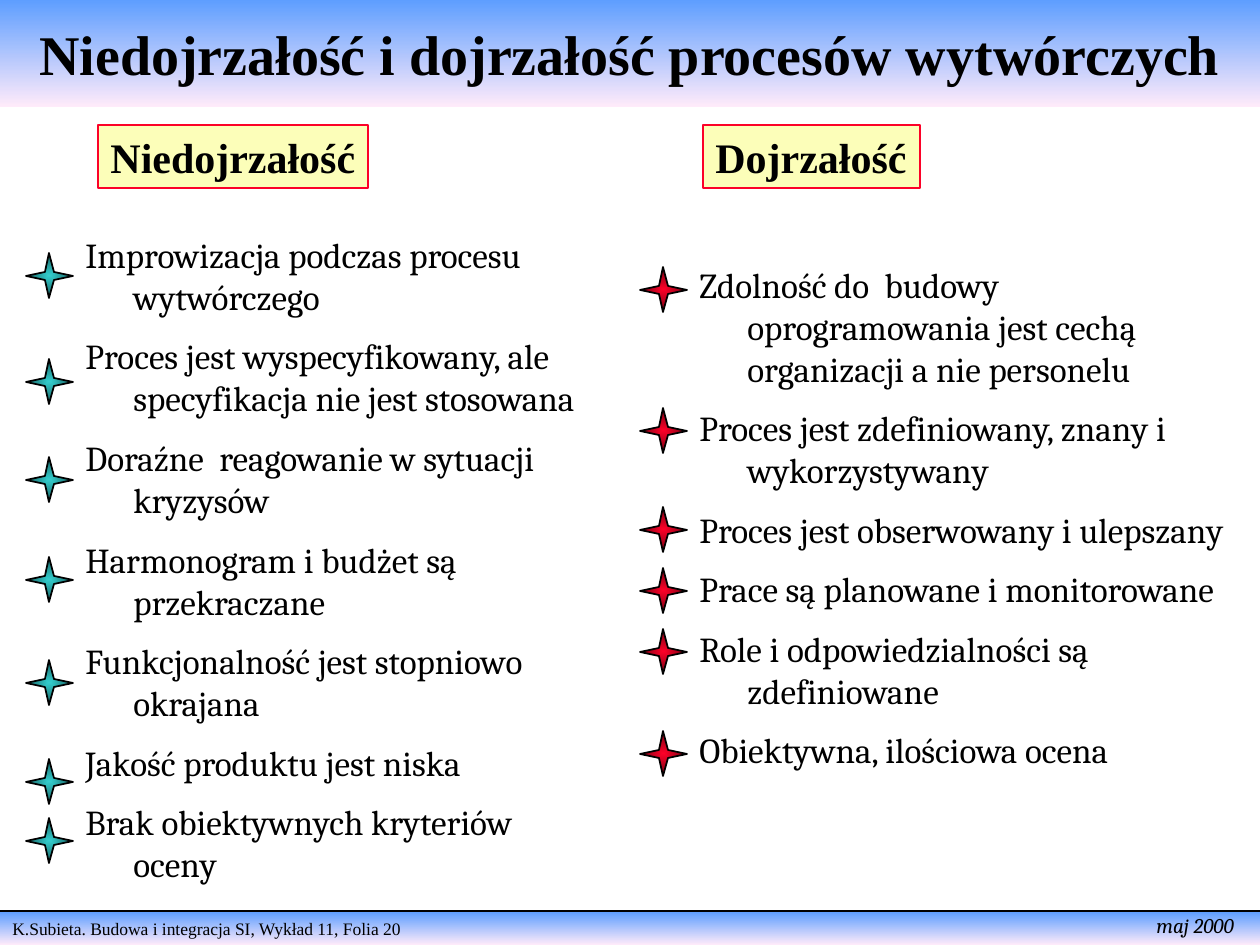
from dataclasses import dataclass

import pptx
import pptx.dml.color
import pptx.enum.shapes
import pptx.enum.text
import pptx.oxml
import pptx.oxml.ns
import pptx.util

RGB = pptx.dml.color.RGBColor.from_string
RECT = pptx.enum.shapes.MSO_SHAPE.RECTANGLE
ALIGN = pptx.enum.text.PP_ALIGN
ANCHOR = pptx.enum.text.MSO_ANCHOR
SIZE = pptx.enum.text.MSO_AUTO_SIZE
SCALE = 914400 / 126
INDENT = 48
STAR = [(0, 23), (19, 19), (23, 0), (28, 19), (47, 23), (28, 27), (23, 45), (19, 27)]


@dataclass(frozen=True)
class Font:
    name: str
    size: int
    bold: bool = False
    italic: bool = False


@dataclass(frozen=True)
class Theme:
    ink: str = "000000"
    sky: str = "5E9EFF"
    blush: str = "FFEBFA"
    cream: str = "FCFEB9"
    red: str = "FC0128"
    wine: str = "740012"
    teal: str = "33CCCC"
    pine: str = "175E5E"
    title: Font = Font("Times New Roman", 32, bold=True)
    head: Font = Font("Times New Roman", 24, bold=True)
    body: Font = Font("Cambria", 20)
    foot: Font = Font("Times New Roman", 10)
    date: Font = Font("Cambria", 12, italic=True)


@dataclass(frozen=True)
class Box:
    x: int
    y: int
    w: int
    h: int


@dataclass(frozen=True)
class Column:
    head: str
    label: Box
    body: Box
    items: list[str]
    left: int
    tops: list[int]
    core: str
    edge: str


THEME = Theme()
COLUMNS = [
    Column(
        "Niedojrzałość", Box(98, 125, 270, 63), Box(73, 217, 542, 684),
        ["Improwizacja podczas procesu wytwórczego",
         "Proces jest wyspecyfikowany, ale specyfikacja nie jest stosowana",
         "Doraźne  reagowanie w sytuacji kryzysów",
         "Harmonogram i budżet są przekraczane",
         "Funkcjonalność jest stopniowo okrajana",
         "Jakość produktu jest niska",
         "Brak obiektywnych kryteriów oceny"],
        26, [253, 359, 457, 557, 660, 759, 818], THEME.teal, THEME.pine,
    ),
    Column(
        "Dojrzałość", Box(703, 125, 217, 63), Box(687, 217, 552, 600),
        ["Zdolność do  budowy oprogramowania jest cechą organizacji a nie personelu",
         "Proces jest zdefiniowany, znany i wykorzystywany",
         "Proces jest obserwowany i ulepszany",
         "Prace są planowane i monitorowane",
         "Role i odpowiedzialności są zdefiniowane",
         "Obiektywna, ilościowa ocena"],
        640, [267, 408, 507, 568, 629, 731], THEME.red, THEME.wine,
    ),
]


def px(n: int) -> pptx.util.Emu:
    return pptx.util.Emu(round(n * SCALE))


def place(box: Box) -> tuple:
    return px(box.x), px(box.y), px(box.w), px(box.h)


def style(para, font: Font, align=ALIGN.LEFT) -> None:
    para.alignment = align
    para.font.name = font.name
    para.font.size = pptx.util.Pt(font.size)
    para.font.bold = font.bold
    para.font.italic = font.italic
    para.font.color.rgb = RGB(THEME.ink)


def write(shape, text: str, font: Font, align=ALIGN.LEFT,
          anchor=ANCHOR.TOP, wrap: bool = True) -> None:
    frame = shape.text_frame
    frame.auto_size = SIZE.NONE
    frame.word_wrap = wrap
    frame.vertical_anchor = anchor
    frame.text = text
    style(frame.paragraphs[0], font, align)


def shade(shape, start: str, end: str) -> None:
    shape.fill.gradient()
    for stop, tint in zip(shape.fill.gradient_stops, (start, end)):
        stop.color.rgb = RGB(tint)
    first, last = shape.fill.gradient_stops
    first.position, last.position = 0, 1


def band(shape) -> None:
    shade(shape, THEME.sky, THEME.blush)
    shape.fill.gradient_angle = 270
    shape.line.fill.background()


def edge(line, tint: str) -> None:
    line.color.rgb = RGB(tint)
    line.width = pptx.util.Pt(1)


def footer(shapes) -> None:
    bar = shapes.add_shape(RECT, *place(Box(0, 912, 1260, 33)))
    bar.shadow.inherit = False
    band(bar)
    write(bar, "K.Subieta. Budowa i integracja SI, Wykład 11, Folia 20", THEME.foot)
    kind = pptx.enum.shapes.MSO_CONNECTOR.STRAIGHT
    rule = shapes.add_connector(kind, 0, px(911), px(1260), px(911))
    edge(rule.line, THEME.ink)
    rule._element.spPr.append(pptx.oxml.parse_xml(
        f"<a:effectLst {pptx.oxml.ns.nsdecls('a')}/>"))
    date = shapes.add_textbox(*place(Box(1144, 906, 103, 38)))
    write(date, "maj 2000", THEME.date, wrap=False)


def label(shapes, col: Column) -> None:
    tag = shapes.add_shape(RECT, *place(col.label))
    tag.shadow.inherit = False
    tag.fill.solid()
    tag.fill.fore_color.rgb = RGB(THEME.cream)
    edge(tag.line, THEME.red)
    write(tag, col.head, THEME.head, wrap=False)


def body(shapes, col: Column) -> None:
    frame = shapes.add_textbox(*place(col.body)).text_frame
    frame.word_wrap = True
    frame.vertical_anchor = ANCHOR.MIDDLE
    for i, item in enumerate(col.items):
        para = frame.add_paragraph() if i else frame.paragraphs[0]
        para.text = item
        props = para._p.get_or_add_pPr()
        props.set("marL", str(px(INDENT)))
        props.set("indent", str(-px(INDENT)))
        if i:
            para.space_before = pptx.util.Pt(10)
        style(para, THEME.body)


def star(shapes, col: Column, top: int) -> None:
    dots = [(col.left + x, top + y) for x, y in STAR]
    pen = shapes.build_freeform(*dots[0], scale=SCALE)
    pen.add_line_segments(dots[1:], close=True)
    mark = pen.convert_to_shape()
    mark.shadow.inherit = False
    shade(mark, col.core, col.edge)
    grad = mark._element.spPr.find(pptx.oxml.ns.qn("a:gradFill"))
    grad.replace(grad.find(pptx.oxml.ns.qn("a:lin")), pptx.oxml.parse_xml(
        f'<a:path {pptx.oxml.ns.nsdecls("a")} path="rect">'
        '<a:fillToRect l="50000" t="50000" r="50000" b="50000"/></a:path>'))
    edge(mark.line, THEME.ink)


def main() -> None:
    deck = pptx.Presentation()
    deck.slide_width, deck.slide_height = px(1260), px(945)
    shapes = deck.slides.add_slide(deck.slide_layouts[5]).shapes
    footer(shapes)
    title = shapes.title
    title.left, title.top, title.width, title.height = place(Box(0, 0, 1260, 107))
    band(title)
    write(title, "Niedojrzałość i dojrzałość procesów wytwórczych",
          THEME.title, ALIGN.CENTER, ANCHOR.MIDDLE)
    for col in COLUMNS:
        body(shapes, col)
        label(shapes, col)
        for top in col.tops:
            star(shapes, col, top)
    deck.save("out.pptx")


if __name__ == "__main__":
    main()
